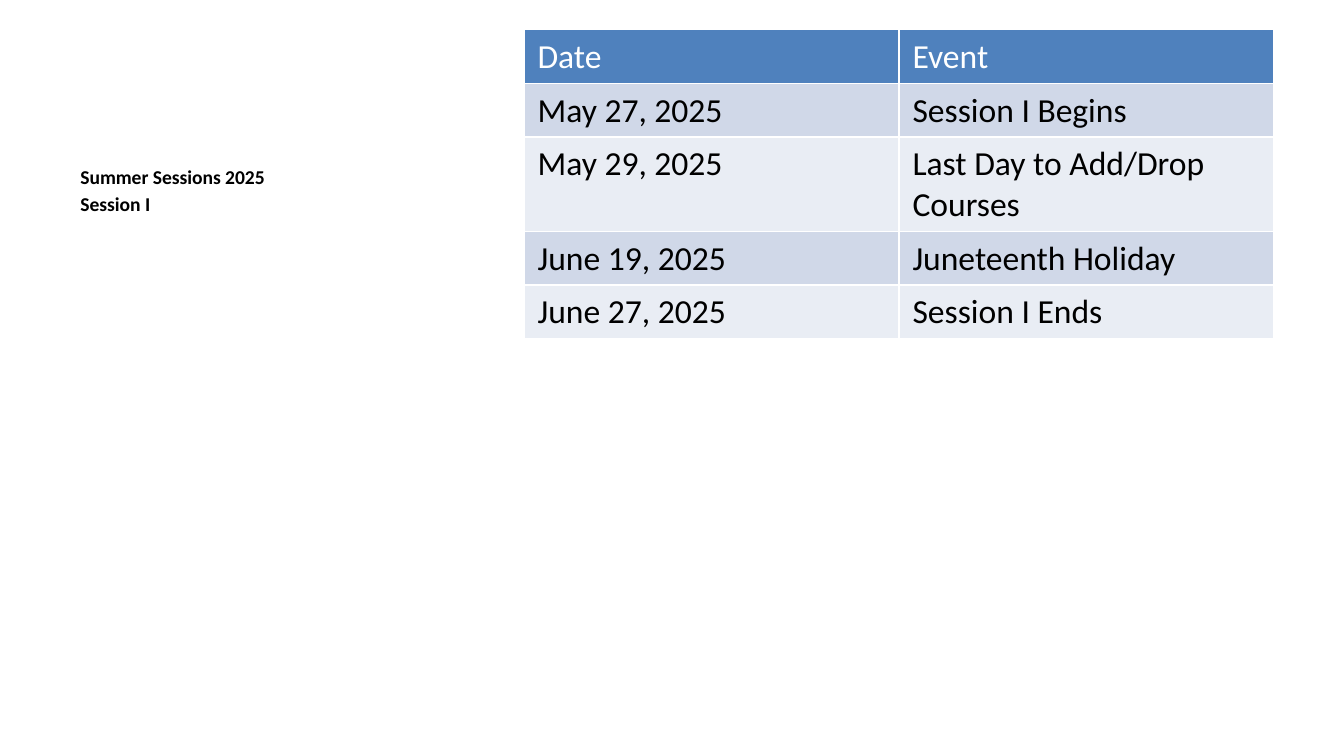
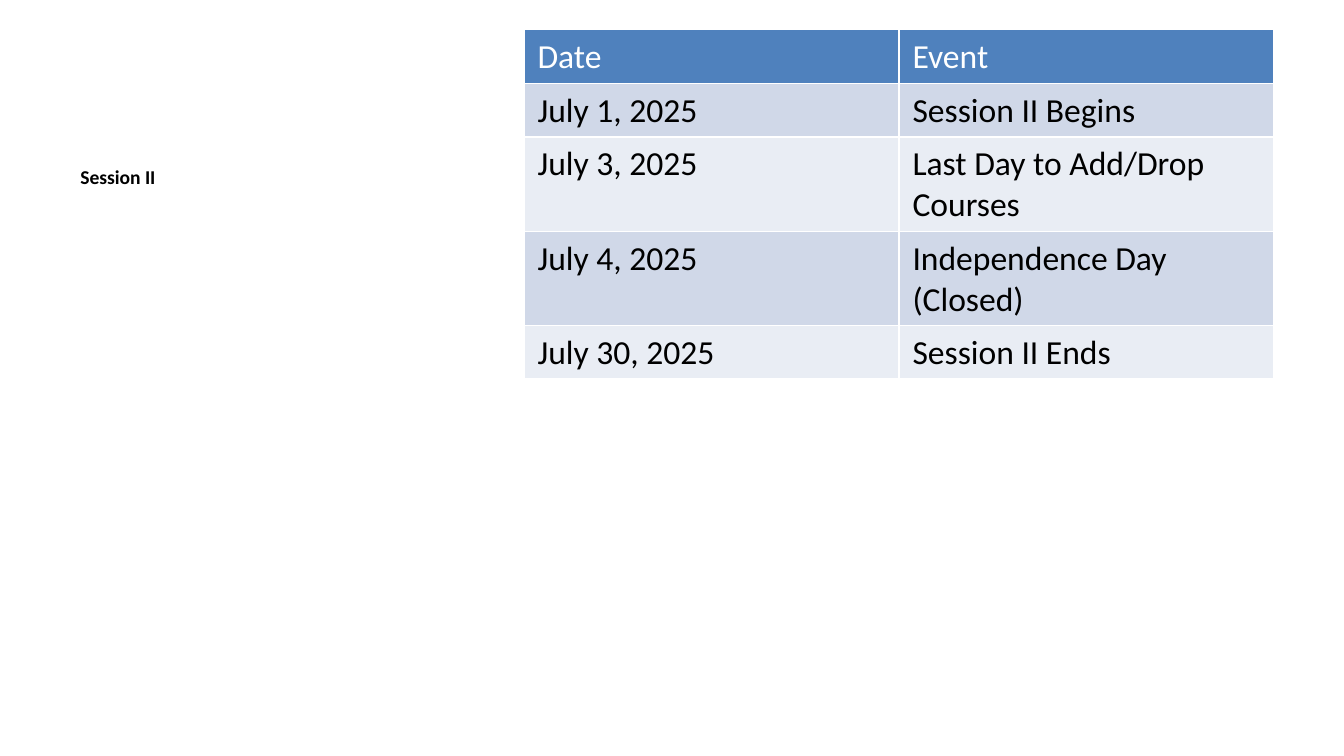
from dataclasses import dataclass

from pptx import Presentation
from pptx.dml.color import RGBColor
from pptx.util import Inches, Pt


@dataclass(frozen=True)
class Theme:
    font: str = "Calibri"
    text: str = "000000"
    header_text: str = "FFFFFF"
    header_fill: str = "4F81BD"
    bands: tuple = ("D0D8E8", "E9EDF4")
    label_size: float = 10.5
    label_gap: float = 1.5
    table_size: float = 18


THEME = Theme()

# Boxes: left, top, width, height in inches
LABEL_BOX = (0.5, 1.18, 3.29, 3.85)
TABLE_BOX = (3.9, 0.22, 5.58, 2)
HEADER = ("Date", "Event")

SESSIONS = [
    (
        ["Summer Sessions 2025", "Session I"],
        [
            ("May 27, 2025", "Session I Begins"),
            ("May 29, 2025", "Last Day to Add/Drop Courses"),
            ("June 19, 2025", "Juneteenth Holiday"),
            ("June 27, 2025", "Session I Ends"),
        ],
    ),
    (
        ["Session II"],
        [
            ("July 1, 2025", "Session II Begins"),
            ("July 3, 2025", "Last Day to Add/Drop Courses"),
            ("July 4, 2025", "Independence Day (Closed)"),
            ("July 30, 2025", "Session II Ends"),
        ],
    ),
]


def style_font(paragraph, size, color, bold=False):
    paragraph.font.name = THEME.font
    paragraph.font.size = Pt(size)
    paragraph.font.bold = bold
    paragraph.font.color.rgb = RGBColor.from_string(color)


def add_label(slide, box, lines):
    """Session name at the left of the slide."""
    text_frame = slide.shapes.add_textbox(*map(Inches, box)).text_frame
    text_frame.word_wrap = True
    for index, line in enumerate(lines):
        paragraph = text_frame.paragraphs[0] if index == 0 else text_frame.add_paragraph()
        paragraph.text = line
        style_font(paragraph, THEME.label_size, THEME.text, bold=True)
        if index:
            paragraph.space_before = Pt(THEME.label_gap)


def add_calendar(slide, box, events):
    """Table of dates and events; the table style draws the white rules."""
    rows = [HEADER, *events]
    table = slide.shapes.add_table(len(rows), len(HEADER), *map(Inches, box)).table
    for row_index, row in enumerate(rows):
        is_header = row_index == 0
        fill = THEME.header_fill if is_header else THEME.bands[(row_index - 1) % 2]
        color = THEME.header_text if is_header else THEME.text
        for column_index, text in enumerate(row):
            cell = table.cell(row_index, column_index)
            cell.text = text
            style_font(cell.text_frame.paragraphs[0], THEME.table_size, color)
            cell.fill.solid()
            cell.fill.fore_color.rgb = RGBColor.from_string(fill)


def add_session_slide(presentation, label, events):
    slide = presentation.slides.add_slide(presentation.slide_layouts[6])
    add_label(slide, LABEL_BOX, label)
    add_calendar(slide, TABLE_BOX, events)


def main():
    presentation = Presentation()
    # Widescreen, 16:9
    presentation.slide_width = Inches(10)
    presentation.slide_height = Inches(10 * 9 / 16)
    for label, events in SESSIONS:
        add_session_slide(presentation, label, events)
    presentation.save("out.pptx")


if __name__ == "__main__":
    main()
